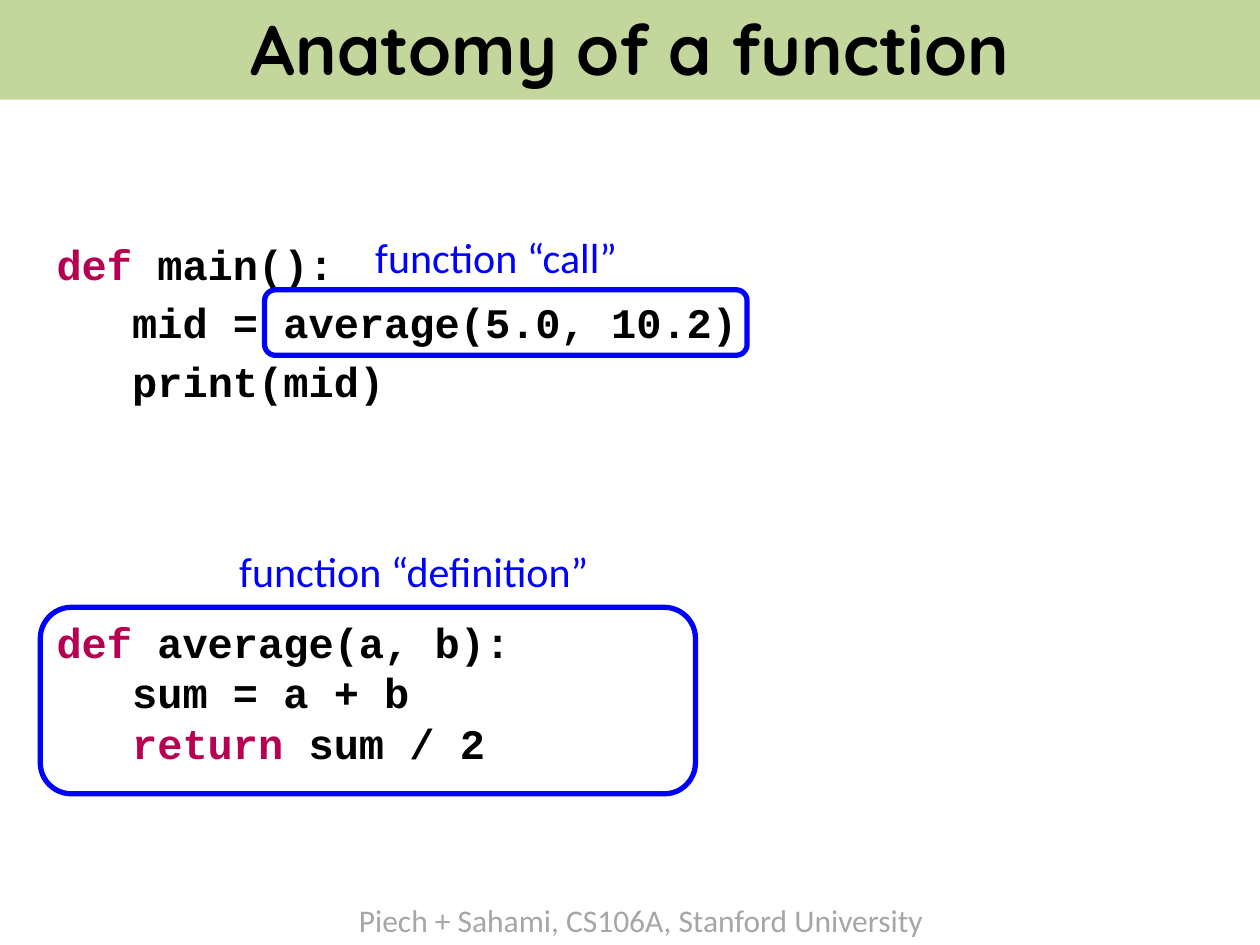
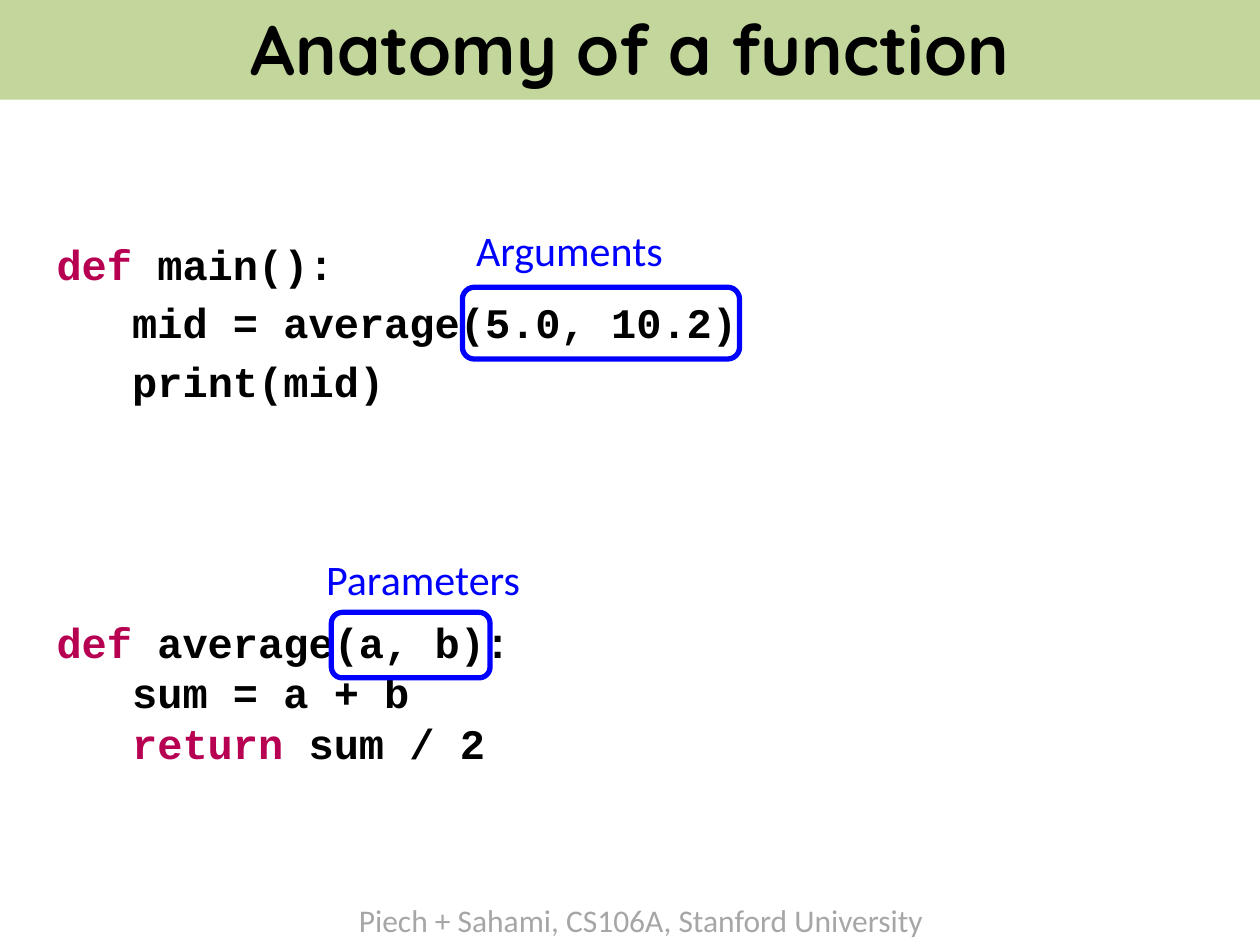
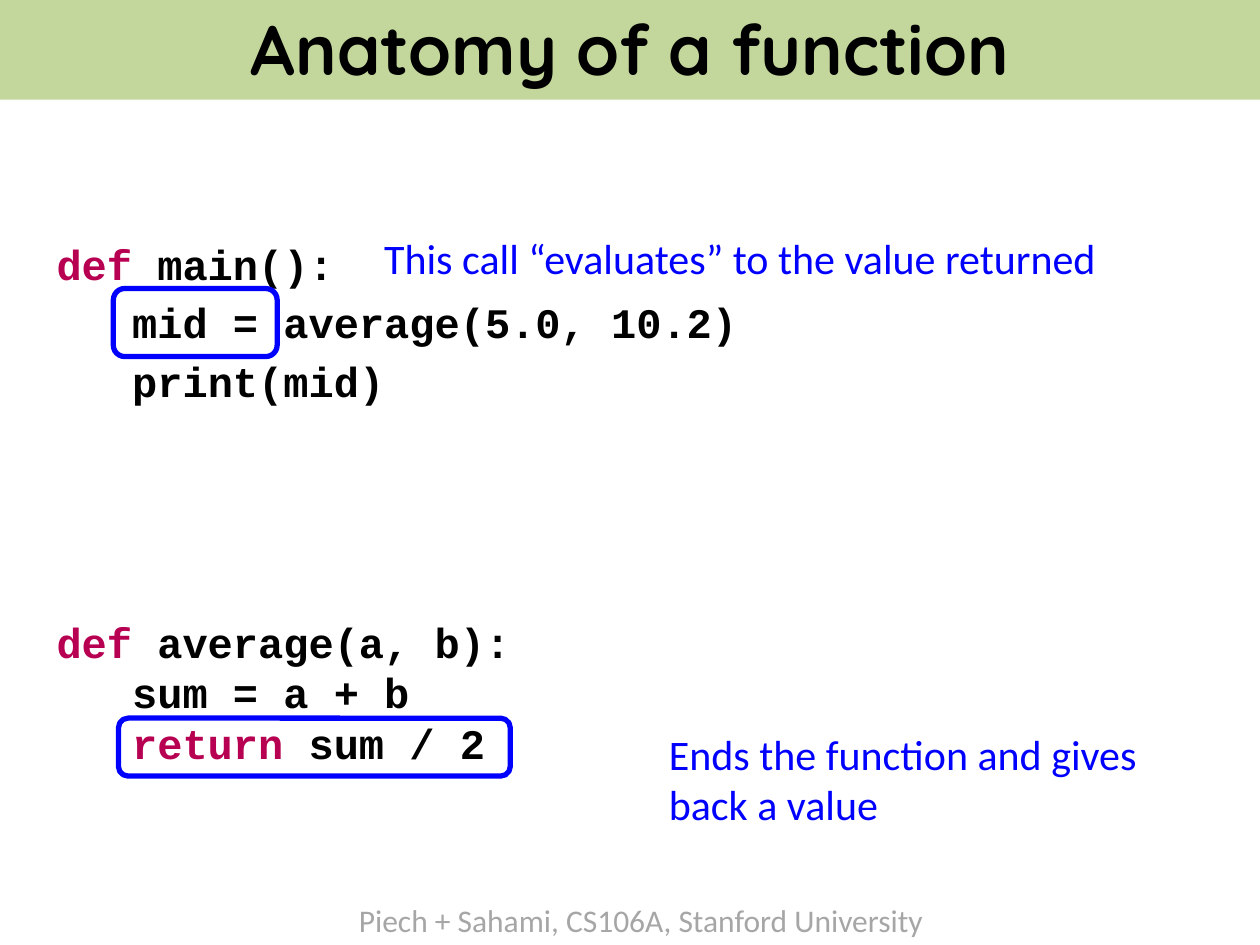
"""Build three slides that name the parts of a function."""
import dataclasses
import typing

import pptx
import pptx.dml.color
import pptx.enum.shapes
import pptx.enum.text
import pptx.util

COLS, ROWS = 100, 75
CELL = pptx.util.Inches(0.1)
SHAPE = pptx.enum.shapes.MSO_SHAPE
ANCHOR = pptx.enum.text.MSO_ANCHOR
ALIGN = pptx.enum.text.PP_ALIGN
FIT = pptx.enum.text.MSO_AUTO_SIZE

HUES = {
    "band": "C3D69B",
    "ink": "000000",
    "key": "B70051",
    "mark": "0000FF",
    "foot": "A6A6A6",
}
FONTS = {
    "title": {"name": "Quicksand", "size": pptx.util.Pt(40), "bold": True},
    "code": {"name": "Courier New", "size": pptx.util.Pt(24), "bold": True},
    "note": {"name": "Calibri", "size": pptx.util.Pt(24)},
    "foot": {"name": "Calibri", "size": pptx.util.Pt(18)},
}
FRAMES = {
    "fit": {"word_wrap": False, "auto_size": FIT.SHAPE_TO_FIT_TEXT},
    "code": {"word_wrap": True, "margin_top": pptx.util.Inches(0.55)},
    "title": {"word_wrap": True, "vertical_anchor": ANCHOR.MIDDLE},
}
KEYS = ("def ", "return ")
INDENT = "   "
LEAD, STEP, GAP = 29, 4.4, 120


class Area(typing.NamedTuple):
    """A block of grid cells."""

    col: float
    row: float
    wide: float
    high: float

    def place(self) -> list[int]:
        """Return left, top, width and height as lengths."""
        return [round(part * CELL) for part in self]


@dataclasses.dataclass(frozen=True)
class Note:
    """A label on the code."""

    text: str
    area: Area


@dataclasses.dataclass(frozen=True)
class Line:
    """A line of code and the space before it in points."""

    text: str
    gap: float = 0


@dataclasses.dataclass(frozen=True)
class Page:
    """The frames and labels of one slide."""

    boxes: tuple[Area, ...]
    notes: tuple[Note, ...]


BAND = Area(0, -0.3, COLS, 8.2)
BODY = Area(3.5, 13.4, 93.2, 55.2)
FOOT = Note("Piech + Sahami, CS106A, Stanford University",
            Area(27.5, 71, 47.3, 4))
CODE = (
    Line("def main():"),
    Line(INDENT + "mid = average(5.0, 10.2)", STEP),
    Line(INDENT + "print(mid)", STEP),
    Line("def average(a, b):", GAP),
    Line(INDENT + "sum = a + b"),
    Line(INDENT + "return sum / 2"),
)
PAGES = (
    Page(
        (Area(3.2, 48.2, 52, 14.8), Area(21, 23, 38.3, 5.2)),
        (Note("function “definition”", Area(18, 42.8, 30.1, 5)),
         Note("function “call”", Area(28.8, 17.9, 21.4, 5))),
    ),
    Page(
        (Area(36.7, 22.8, 22, 5.7), Area(26.3, 48.6, 12.6, 5.2)),
        (Note("Arguments", Area(36.8, 17.3, 17, 5)),
         Note("Parameters", Area(24.9, 43.4, 17.6, 5))),
    ),
    Page(
        (Area(9.4, 57, 31.1, 4.6), Area(9, 22.9, 13, 5.4)),
        (Note("Ends the function and gives\nback a value",
              Area(52.1, 57.3, 39.5, 9.1)),
         Note("This call “evaluates” to the value returned",
              Area(29.5, 18, 59.1, 5))),
    ),
)


def tint(hue: str) -> pptx.dml.color.RGBColor:
    """Return the named colour."""
    return pptx.dml.color.RGBColor.from_string(HUES[hue])


def apply(thing: typing.Any, values: dict[str, typing.Any]) -> None:
    """Set each value as an attribute."""
    for name, value in values.items():
        setattr(thing, name, value)


def add_run(para: typing.Any, text: str, font: str, hue: str) -> None:
    """Add a run of text in a named font and colour."""
    run = para.add_run()
    run.text = text
    apply(run.font, FONTS[font])
    run.font.color.rgb = tint(hue)


def add_paras(frame: typing.Any, count: int) -> typing.Any:
    """Return the paragraphs of a frame, grown to the count."""
    for _ in range(count - 1):
        frame.add_paragraph()
    return frame.paragraphs


def add_note(slide: typing.Any, note: Note, font: str, hue: str) -> None:
    """Draw a label that fits its text."""
    frame = slide.shapes.add_textbox(*note.area.place()).text_frame
    apply(frame, FRAMES["fit"])
    lines = note.text.split("\n")
    for para, text in zip(add_paras(frame, len(lines)), lines):
        add_run(para, text, font, hue)


def add_code(slide: typing.Any) -> None:
    """Draw the code with its keywords in colour."""
    frame = slide.shapes.add_textbox(*BODY.place()).text_frame
    apply(frame, FRAMES["code"])
    for para, line in zip(add_paras(frame, len(CODE)), CODE):
        apply(para, {"line_spacing": pptx.util.Pt(LEAD),
                     "space_before": pptx.util.Pt(line.gap)})
        key = next((key for key in KEYS if key in line.text), "")
        head, tail = line.text.split(key) if key else ("", line.text)
        for text, hue in ((head, "ink"), (key, "key"), (tail, "ink")):
            if text:
                add_run(para, text, "code", hue)


def add_band(slide: typing.Any, title: str) -> None:
    """Draw the title on its band."""
    band = slide.shapes.add_shape(SHAPE.RECTANGLE, *BAND.place())
    band.shadow.inherit = False
    band.fill.solid()
    band.fill.fore_color.rgb = tint("band")
    band.line.fill.background()
    apply(band.text_frame, FRAMES["title"])
    para = band.text_frame.paragraphs[0]
    para.alignment = ALIGN.CENTER
    add_run(para, title, "title", "ink")


def add_box(slide: typing.Any, area: Area) -> None:
    """Draw a round frame on part of the code."""
    box = slide.shapes.add_shape(SHAPE.ROUNDED_RECTANGLE, *area.place())
    box.shadow.inherit = False
    box.fill.background()
    box.line.color.rgb = tint("mark")
    box.line.width = pptx.util.Pt(3)


def main() -> None:
    """Build and save the slides."""
    deck = pptx.Presentation()
    apply(deck, {"slide_width": COLS * CELL, "slide_height": ROWS * CELL})
    for page in PAGES:
        slide = deck.slides.add_slide(deck.slide_layouts[6])
        add_note(slide, FOOT, "foot", "foot")
        add_code(slide)
        add_band(slide, "Anatomy of a function")
        for area in page.boxes:
            add_box(slide, area)
        for note in page.notes:
            add_note(slide, note, "note", "mark")
    deck.save("out.pptx")


if __name__ == "__main__":
    main()
